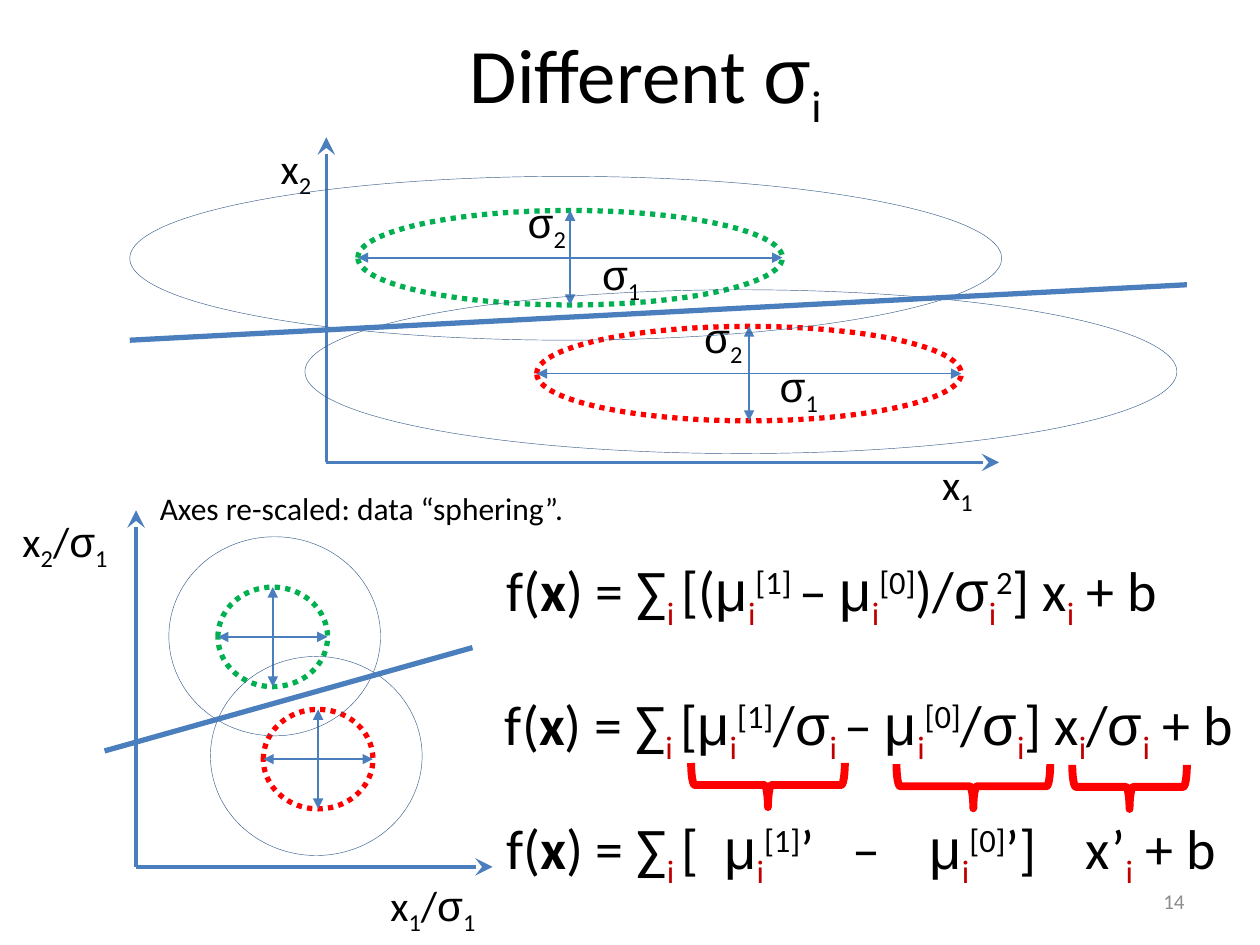
from dataclasses import dataclass

from lxml.etree import SubElement
from pptx import Presentation
from pptx.dml.color import RGBColor
from pptx.enum.dml import MSO_LINE
from pptx.enum.shapes import MSO_CONNECTOR, MSO_SHAPE
from pptx.enum.text import MSO_ANCHOR, MSO_AUTO_SIZE, PP_ALIGN
from pptx.oxml.ns import qn
from pptx.util import Inches, Pt

BLACK = RGBColor(0x00, 0x00, 0x00)
GRAY = RGBColor(0x8C, 0x8C, 0x8C)
BLUE = RGBColor(0x4B, 0x7E, 0xBC)
NAVY = RGBColor(0x3A, 0x5F, 0x8C)
GREEN = RGBColor(0x00, 0xB0, 0x50)
RED = RGBColor(0xFF, 0x00, 0x00)
DARK_RED = RGBColor(0xC0, 0x00, 0x00)

BASELINES = {"_": "-25000", "^": "30000"}


@dataclass
class Diagram:
    """Geometry of two classes, their contours, axes and decision line."""
    origin: tuple
    axis_right: float
    axis_top: float
    spread_size: tuple
    spreads: list
    halo_size: tuple
    halos: list
    boundary: tuple
    label_size: tuple
    labels: list


ORIGINAL_AXES = Diagram(
    origin=(2.59, 3.67), axis_right=7.93, axis_top=1.09,
    spread_size=(3.37, 0.75), spreads=[(2.84, 1.67, GREEN), (4.26, 2.59, RED)],
    halo_size=(6.92, 1.3), halos=[(2.42, 2.3), (1.03, 1.4)],
    boundary=(1.03, 2.7, 9.42, 2.26),
    label_size=(0.56, 0.5),
    labels=[(6.09, 2.81, ["σ", "_1"]), (4.68, 1.92, ["σ", "_1"]),
            (5.49, 2.42, ["σ", "_2"]), (4.09, 1.51, ["σ", "_2"]),
            (7.38, 3.59, ["x", "_1"]), (2.13, 1.08, ["x", "_2"])])

RESCALED_AXES = Diagram(
    origin=(1.08, 6.88), axis_right=3.91, axis_top=4.05,
    spread_size=(0.87, 0.79), spreads=[(1.73, 4.66, GREEN), (2.09, 5.63, RED)],
    halo_size=(1.68, 1.58), halos=[(1.67, 5.21), (1.34, 4.26)],
    boundary=(0.83, 5.96, 3.75, 5.14),
    label_size=(0.91, 0.53),
    labels=[(3, 6.93, ["x", "_1", "/", "σ", "_1"]),
            (0.08, 4.04, ["x", "_2", "/", "σ", "_1"])])

OPENING = ["f(", "*x", ") = ∑", "_i "]
FORMULAS = [
    (3.92, 4.36, 5.69, OPENING + [
        "[(", "μ", "_i", "^[1] ", "– ", "μ", "_i", "^[0]", ")/", "σ", "_i",
        "^2", "] x", "_i", " + b"]),
    (3.91, 5.42, 6.43, OPENING + [
        "[", "μ", "_i", "^[1]", "/", "σ", "_i ", "– ", "μ", "_i", "^[0]", "/",
        "σ", "_i", "] x", "_i", "/", "σ", "_i", " + b"]),
    (3.92, 6.41, 6.19, OPENING + [
        "[\t", "μ", "_i", "^[1]", "’\t–\t", "μ", "_i", "^[0]", "’]\tx’",
        "_i", " + b"]),
]
FORMULA_TABS = [1.73, 2.75, 3.36, 4.6]
BRACES = [(5.92, 5.62, 1.22), (7.55, 5.63, 1.22), (8.79, 5.79, 0.91)]


def write_spans(para, spans, size, color=BLACK, subscript_color=BLACK):
    """Add runs; a leading _, ^ or * means subscript, superscript or bold."""
    for item in spans:
        mark = item[0] if item[0] in "_^*" else ""
        span = para.add_run()
        span.text = item[len(mark):]
        span.font.size = Pt(size)
        span.font.name = "Arial" if item in "σμ" else "Calibri"
        span.font.color.rgb = subscript_color if mark == "_" else color
        if mark == "*":
            span.font.bold = True
        elif mark:
            span.font._element.set("baseline", BASELINES[mark])


def add_text(shapes, left, top, width, height, spans, size, **colors):
    """Add a text box on one line and return it."""
    box = shapes.add_textbox(Inches(left), Inches(top), Inches(width), Inches(height))
    box.text_frame.word_wrap = False
    box.text_frame.auto_size = MSO_AUTO_SIZE.SHAPE_TO_FIT_TEXT
    write_spans(box.text_frame.paragraphs[0], spans, size, **colors)
    return box


def add_outline(shapes, preset, left, top, width, height, color, weight):
    """Add an unfilled preset shape and return it."""
    shape = shapes.add_shape(preset, Inches(left), Inches(top), Inches(width), Inches(height))
    shape.shadow.inherit = False
    shape.fill.background()
    shape.line.color.rgb = color
    shape.line.width = Pt(weight)
    return shape


def add_line(shapes, x1, y1, x2, y2, weight, head=None, tail=None, head_size="med"):
    """Add a straight blue line with optional arrowheads."""
    line = shapes.add_connector(
        MSO_CONNECTOR.STRAIGHT, Inches(x1), Inches(y1), Inches(x2), Inches(y2))
    line.line.color.rgb = BLUE
    line.line.width = Pt(weight)
    outline = line.line._get_or_add_ln()
    for tag, kind in (("a:headEnd", head), ("a:tailEnd", tail)):
        if kind:
            SubElement(outline, qn(tag), type=kind, w=head_size, len=head_size)
    SubElement(line._element.spPr, qn("a:effectLst"))


def add_spread(shapes, left, top, width, height, color):
    """Add a dotted ellipse with a double arrow along each axis."""
    ellipse = add_outline(shapes, MSO_SHAPE.OVAL, left, top, width, height, color, 3)
    ellipse.line.dash_style = MSO_LINE.ROUND_DOT
    middle_x, middle_y = left + width / 2, top + height / 2
    ends = {"head": "triangle", "tail": "triangle"}
    add_line(shapes, left, middle_y, left + width, middle_y, 1, **ends)
    add_line(shapes, middle_x, top + height, middle_x, top, 1, **ends)


def add_diagram(slide, diagram):
    """Draw one diagram as a group."""
    shapes = slide.shapes.add_group_shape().shapes
    for left, top, color in diagram.spreads:
        add_spread(shapes, left, top, *diagram.spread_size, color)
    x, y = diagram.origin
    for end_x, end_y in ((diagram.axis_right, y), (x, diagram.axis_top)):
        add_line(shapes, x, y, end_x, end_y, 2, tail="stealth", head_size="lg")
    for left, top, spans in diagram.labels:
        add_text(shapes, left, top, *diagram.label_size, spans, 24)
    for left, top in diagram.halos:
        add_outline(shapes, MSO_SHAPE.OVAL, left, top, *diagram.halo_size, NAVY, 0.25)
    add_line(shapes, *diagram.boundary, 3)


def add_formula(slide, left, top, width, spans):
    """Add one formula, with tab stops if it has tabs."""
    box = add_text(slide.shapes, left, top, width, 0.64, spans, 32, subscript_color=DARK_RED)
    if any("\t" in item for item in spans):
        box.text_frame.word_wrap = True
        properties = box.text_frame.paragraphs[0]._p.get_or_add_pPr()
        stops = SubElement(properties, qn("a:tabLst"))
        for position in FORMULA_TABS:
            SubElement(stops, qn("a:tab"), pos=str(Inches(position)), algn="l")


def add_title(slide):
    """Place and fill the title placeholder."""
    title = slide.shapes.title
    title.left, title.top = Inches(0.75), Inches(0)
    title.width, title.height = Inches(8.75), Inches(1.25)
    title.text_frame.vertical_anchor = MSO_ANCHOR.MIDDLE
    para = title.text_frame.paragraphs[0]
    para.alignment = PP_ALIGN.CENTER
    write_spans(para, ["Different ", "σ", "_i"], 44)


def add_page_number(slide):
    """Add the page number at the lower right."""
    box = add_text(slide.shapes, 7.17, 6.95, 2.33, 0.4, ["14"], 12, color=GRAY)
    box.text_frame.word_wrap = True
    box.text_frame.auto_size = MSO_AUTO_SIZE.NONE
    box.text_frame.vertical_anchor = MSO_ANCHOR.MIDDLE
    box.text_frame.paragraphs[0].alignment = PP_ALIGN.RIGHT


def main():
    """Build the deck and save it."""
    deck = Presentation()
    deck.slide_width, deck.slide_height = Inches(10), Inches(7.5)
    slide = deck.slides.add_slide(deck.slide_layouts[5])
    add_title(slide)
    add_page_number(slide)
    for diagram in (ORIGINAL_AXES, RESCALED_AXES):
        add_diagram(slide, diagram)
    for formula in FORMULAS:
        add_formula(slide, *formula)
    for left, top, span_width in BRACES:
        brace = add_outline(
            slide.shapes, MSO_SHAPE.LEFT_BRACE, left, top, 0.35, span_width, RED, 4.5)
        brace.rotation = 270
    add_text(slide.shapes, 1.17, 3.83, 3.44, 0.4, ["Axes re-scaled: data “sphering”."], 18)
    deck.save("out.pptx")


if __name__ == "__main__":
    main()
